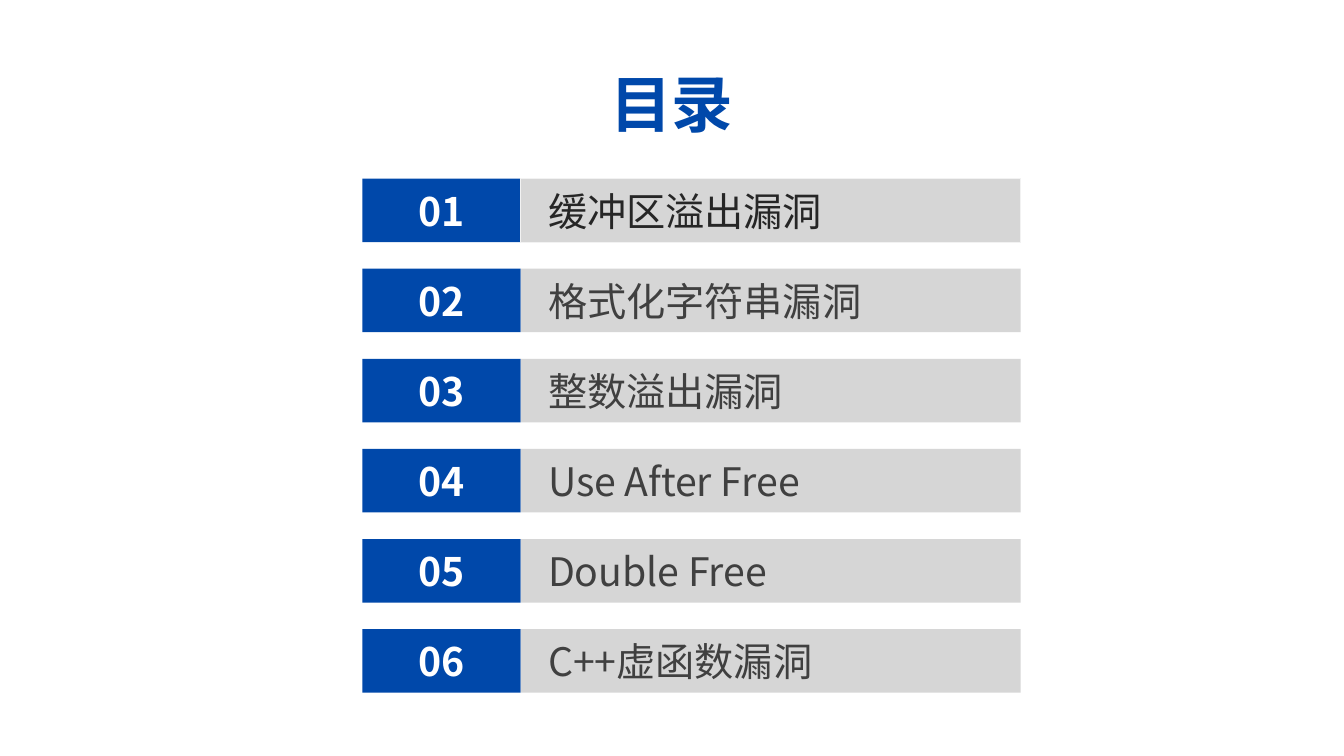
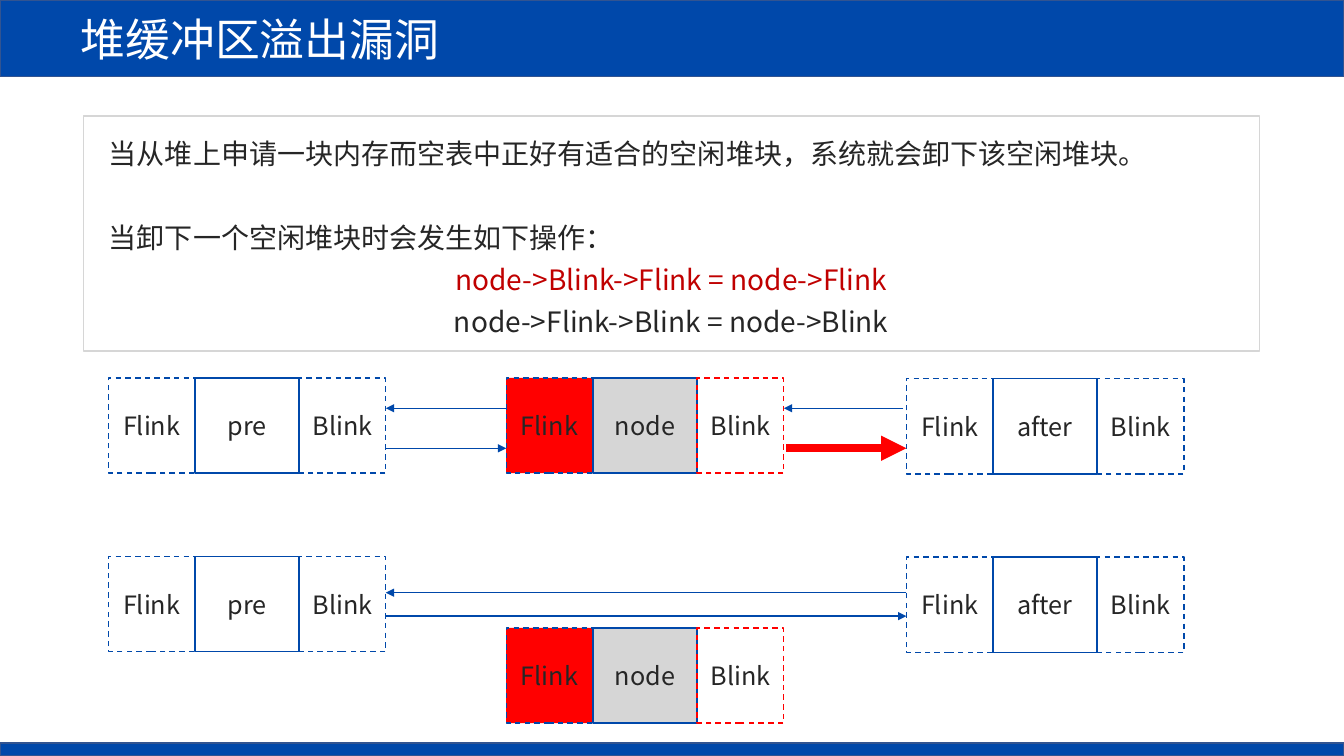
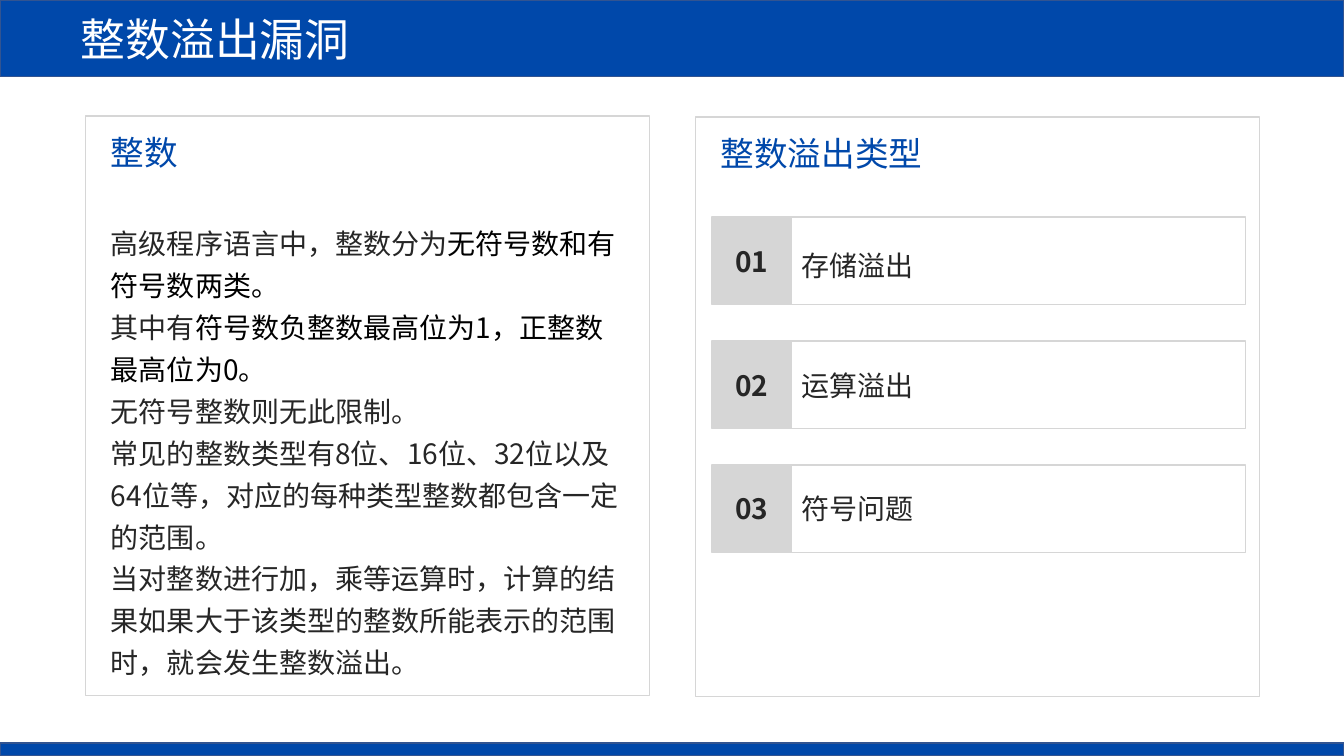
from dataclasses import dataclass

from lxml import etree
from pptx import Presentation, util as u
from pptx.dml.color import RGBColor
from pptx.enum import dml, shapes, text
from pptx.oxml.ns import qn

FONT = "Noto Sans CJK SC"
COLORS = {
    "blue": "0048AA", "navy": "325491", "grey": "D6D6D6", "pale": "F2F2F2",
    "ink": "262626", "soft": "404040", "black": "000000", "white": "FFFFFF",
    "red": "FF0000", "crimson": "C00000",
}
WIDTH, HEIGHT = u.Inches(13.33), u.Inches(7.5)
CENTER = text.PP_ALIGN.CENTER
LEFT = text.PP_ALIGN.LEFT
LINE_PITCH = u.Pt(30)


@dataclass
class Box:
    """A rectangle in percent of the slide's width and height."""
    x: float
    y: float
    w: float
    h: float

    def emu(self):
        return across(self.x), down(self.y), across(self.w), down(self.h)


@dataclass
class Block:
    """A heap block with its two link fields."""
    name: str
    x: float
    y: float
    fill: str | None = None
    flink_fill: str | None = None
    blink_line: str = "blue"


@dataclass
class Arrow:
    start: float
    end: float
    y: float
    color: str = "blue"
    width: float = 1


def across(share: float) -> int:
    return round(WIDTH * share / 100)


def down(share: float) -> int:
    return round(HEIGHT * share / 100)


def rgb(name: str) -> RGBColor:
    return RGBColor.from_string(COLORS[name])


# Text
def write(p, content: str, *, size: float = 20, color: str = "ink",
          bold: bool = False, align=LEFT, spacing=None, after: float = 0):
    """Append a run to a paragraph and format both."""
    p.alignment = align
    p.space_before, p.space_after = u.Pt(0), u.Pt(after)
    if spacing:
        p.line_spacing = spacing
    r = p.add_run()
    r.text = content
    r.font.size, r.font.bold = u.Pt(size), bold
    r.font.color.rgb = rgb(color)
    r.font.name = FONT
    etree.SubElement(r.font._element, qn("a:ea")).set("typeface", FONT)


def frame(sp, anchor=text.MSO_ANCHOR.MIDDLE, inset: float = 0.1):
    tf = sp.text_frame
    tf.word_wrap = True
    tf.auto_size = text.MSO_AUTO_SIZE.NONE
    tf.vertical_anchor = anchor
    tf.margin_left = u.Inches(inset)
    return tf


def place(sp, box: Box):
    sp.left, sp.top, sp.width, sp.height = box.emu()


def add_label(s, box: Box, content: str, **style):
    tf = frame(s.shapes.add_textbox(*box.emu()))
    write(tf.paragraphs[0], content, **style)


def fill_body(s, box: Box, paragraphs: list):
    """Each paragraph is a list of (text, colour) runs and a format dict."""
    sp = s.placeholders[1]
    place(sp, box)
    tf = frame(sp, text.MSO_ANCHOR.TOP)
    for i, (runs, style) in enumerate(paragraphs):
        p = tf.add_paragraph() if i else tf.paragraphs[0]
        pPr = p._p.get_or_add_pPr()
        pPr.set("marL", "0")
        pPr.set("indent", "0")
        etree.SubElement(pPr, qn("a:buNone"))
        for content, color in runs:
            write(p, content, color=color, spacing=LINE_PITCH, **style)


# Shapes
def paint(sp, fill: str | None, line: str | None, width: float = 1,
          dashed: bool = False):
    if fill:
        sp.fill.solid()
        sp.fill.fore_color.rgb = rgb(fill)
    else:
        sp.fill.background()
    if line:
        sp.line.color.rgb = rgb(line)
        sp.line.width = u.Pt(width)
        if dashed:
            sp.line.dash_style = dml.MSO_LINE.DASH
    else:
        sp.line.fill.background()


def add_rect(s, box: Box, content: str = "", *, fill: str | None = None,
             line: str | None = None, width: float = 1, dashed: bool = False,
             inset: float = 0.1, **style):
    sp = s.shapes.add_shape(shapes.MSO_SHAPE.RECTANGLE, *box.emu())
    sp.shadow.inherit = False
    paint(sp, fill, line, width, dashed)
    if content:
        write(frame(sp, inset=inset).paragraphs[0], content, **style)


def add_arrow(s, arrow: Arrow):
    y = down(arrow.y)
    c = s.shapes.add_connector(shapes.MSO_CONNECTOR.STRAIGHT,
                               across(arrow.start), y, across(arrow.end), y)
    c.line.color.rgb = rgb(arrow.color)
    c.line.width = u.Pt(arrow.width)
    spPr = c._element.spPr
    etree.SubElement(spPr.find(qn("a:ln")), qn("a:tailEnd")).set("type", "triangle")
    etree.SubElement(spPr, qn("a:effectLst"))


def add_block(s, block: Block):
    link_w, name_w, h = 6.45, 7.75, 12.6
    name_x = block.x + link_w
    cells = [
        ("Flink", block.x, link_w, block.flink_fill, "blue", True),
        (block.name, name_x, name_w, block.fill, "blue", False),
        ("Blink", name_x + name_w, link_w, None, block.blink_line, True),
    ]
    for content, x, w, fill, line, dashed in cells:
        add_rect(s, Box(x, block.y, w, h), content, fill=fill, line=line,
                 dashed=dashed, size=18, align=CENTER)


# Shared slide furniture
def add_content_slide(prs, title: str):
    s = prs.slides.add_slide(prs.slide_layouts[1])
    sp = s.shapes.title
    place(sp, Box(0, 0, 100, 10.13))
    paint(sp, "blue", "navy")
    write(frame(sp, inset=0.8).paragraphs[0], title, size=32, color="white")
    add_rect(s, Box(0, 98.27, 100, 1.73), fill="blue", line="navy")
    return s


# Slides
def build_contents(prs):
    s = prs.slides.add_slide(prs.slide_layouts[5])
    place(s.shapes.title, Box(40, 8, 20, 11.2))
    write(frame(s.shapes.title).paragraphs[0], "目录", size=44, color="blue",
          bold=True, align=CENTER)
    topics = ["缓冲区溢出漏洞", "格式化字符串漏洞", "整数溢出漏洞",
              "Use After Free", "Double Free", "C++虚函数漏洞"]
    for i, topic in enumerate(topics):
        y = 23.63 + 11.92 * i
        current = i == 0
        add_rect(s, Box(26.97, y, 11.78, 8.4), f"{i + 1:02}", fill="blue",
                 size=28, color="white", bold=True, align=CENTER)
        add_rect(s, Box(38.75, y, 37.2, 8.4), topic, fill="grey",
                 line="pale" if current else None, width=0.5, inset=0.27,
                 size=28, color="ink" if current else "soft")


def build_heap(prs):
    s = add_content_slide(prs, "堆缓冲区溢出漏洞")
    add_rect(s, Box(6.22, 15.33, 87.5, 31.1), line="grey")
    fill_body(s, Box(7.35, 16.3, 85.2, 29), [
        ([("当从堆上申请一块内存而空表中正好有适合的空闲堆块，系统就会卸下该空闲堆块。", "ink")],
         {"after": 30}),
        ([("当卸下一个空闲堆块时会发生如下操作：", "ink")], {}),
        ([("node->Blink->Flink = node->Flink", "crimson")], {"align": CENTER}),
        ([("node->Flink->Blink = node->Blink", "ink")], {"align": CENTER}),
    ])

    # Before and after unlinking
    pre_x, node_x, after_x, block_w = 8.06, 37.67, 67.44, 20.65
    pre_end, node_end = pre_x + block_w, node_x + block_w
    for linked_y, node_y in [(50, 50), (73.6, 83.07)]:
        add_block(s, Block("pre", pre_x, linked_y))
        add_block(s, Block("node", node_x, node_y, "grey", "red", "red"))
        add_block(s, Block("after", after_x, linked_y + 0.1))
    for arrow in [
        Arrow(node_x, pre_end, 54),
        Arrow(after_x - 0.23, node_end, 54),
        Arrow(pre_end, node_x, 59.3),
        Arrow(node_end + 0.2, after_x, 59.3, "red", 6),
        Arrow(pre_end, after_x, 81.5),
        Arrow(after_x, pre_end, 78.4),
    ]:
        add_arrow(s, arrow)


def build_integer(prs):
    s = add_content_slide(prs, "整数溢出漏洞")
    # Two cards with headings
    for heading, x, y in [("整数", 6.38, 15.33), ("整数溢出类型", 51.76, 15.47)]:
        add_rect(s, Box(x, y, 41.94, 76.67), line="grey")
        add_label(s, Box(x + 1.13, y + 1.47, 30, 6.67), heading, size=24,
                  color="blue")
    fill_body(s, Box(7.5, 28.13, 39.6, 62.5), [(runs, {}) for runs in [
        [("高级程序语言中，整数分为", "ink"), ("无符号数和有符号数两类。", "black")],
        [("其中有", "ink"), ("符号数负整数最高位为1，正整数最高位为0。", "black")],
        [("无符号整数则无此限制。", "ink")],
        [("常见的整数类型有8位、16位、32位以及64位等，对应的每种类型整数都包含一定的范围。", "ink")],
        [("当对整数进行加，乘等运算时，计算的结果如果大于该类型的整数所能表示的范围时，就会发生整数溢出。", "ink")],
    ]])

    # Numbered overflow types
    for i, kind in enumerate(["存储溢出", "运算溢出", "符号问题"]):
        y = 28.7 + 16.4 * i
        add_rect(s, Box(52.99, y, 5.88, 11.6), f"{i + 1:02}", fill="grey",
                 line="grey", bold=True, align=CENTER)
        add_rect(s, Box(58.87, y, 33.83, 11.6), kind, line="grey",
                 spacing=None if i else 1.25)


def main():
    prs = Presentation()
    prs.slide_width, prs.slide_height = WIDTH, HEIGHT
    build_contents(prs)
    build_heap(prs)
    build_integer(prs)
    prs.save("out.pptx")


if __name__ == "__main__":
    main()
